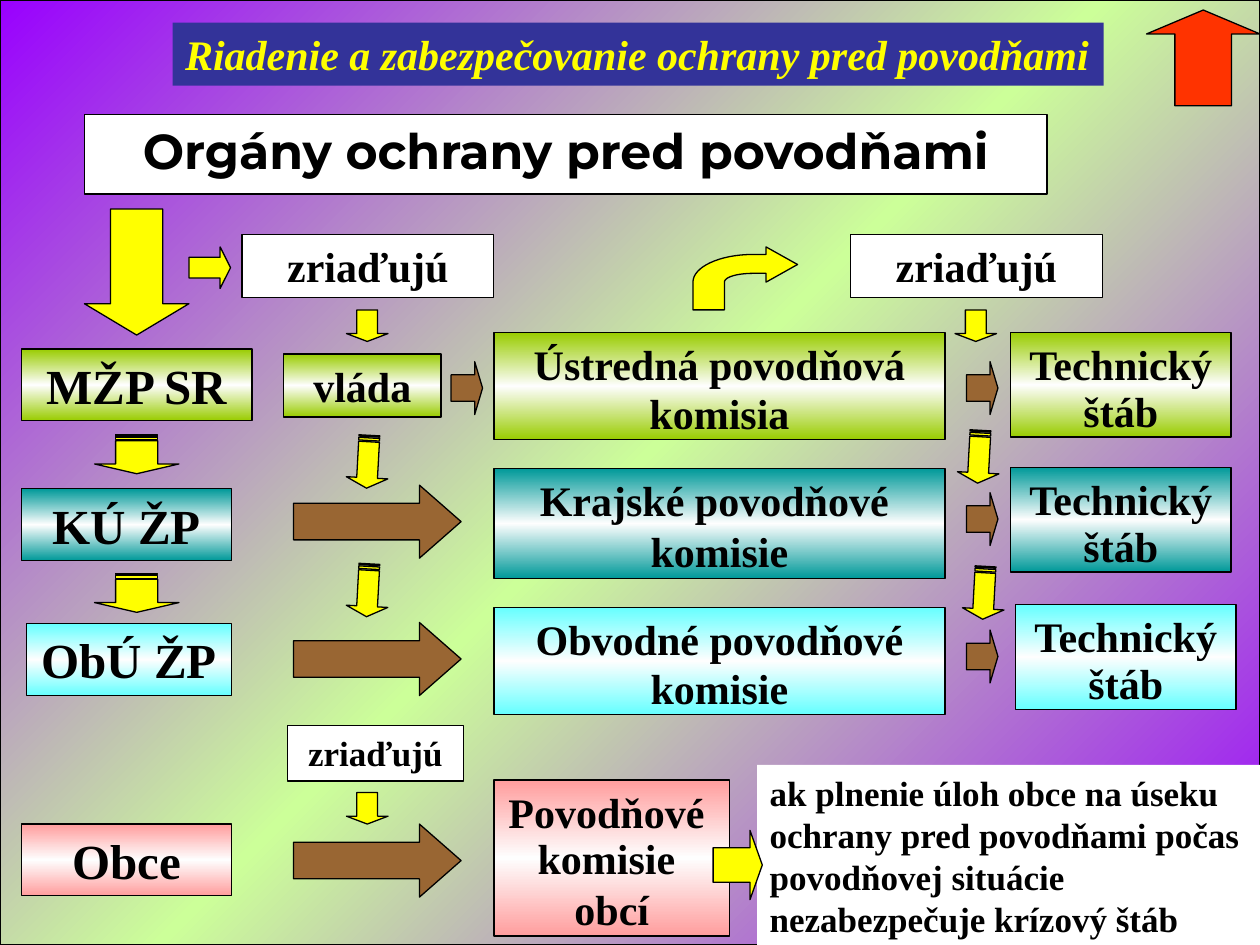
from copy import deepcopy

from pptx import Presentation
from pptx.dml.color import RGBColor
from pptx.enum.shapes import MSO_SHAPE as Shape
from pptx.enum.text import MSO_ANCHOR, MSO_AUTO_SIZE as AutoSize, PP_ALIGN
from pptx.oxml.ns import qn
from pptx.util import Inches, Pt

BLACK = RGBColor(0x00, 0x00, 0x00)
WHITE = RGBColor(0xFF, 0xFF, 0xFF)
SHEEN = RGBColor(0xFE, 0xFE, 0xFE)
YELLOW = RGBColor(0xFF, 0xFF, 0x00)
BROWN = RGBColor(0x99, 0x66, 0x33)
RED = RGBColor(0xFF, 0x33, 0x00)
NAVY = RGBColor(0x33, 0x33, 0x99)
PURPLE = RGBColor(0x99, 0x00, 0xFF)
PALE_GREEN = RGBColor(0xCC, 0xFF, 0x99)
GREEN = RGBColor(0x99, 0xCC, 0x00)
TEAL = RGBColor(0x00, 0x99, 0x99)
CYAN = RGBColor(0x66, 0xFF, 0xFF)
PINK = RGBColor(0xFF, 0x9D, 0x9D)
SERIF = "Times New Roman"


def style(sp, color, outlined=True):
    sp.shadow.inherit = False
    sp.fill.solid()
    sp.fill.fore_color.rgb = color
    if outlined:
        sp.line.color.rgb = BLACK
        sp.line.width = Pt(0.75)
    else:
        sp.line.fill.background()


def add_shape(s, kind, at, color, outlined=True):
    sp = s.shapes.add_shape(kind, *map(Inches, at))
    style(sp, color, outlined)
    return sp


def fill_gradient(sp, edge, middle, angle):
    """Run from edge colour to middle colour and back."""
    sp.fill.gradient()
    stops = sp._element.spPr.find(qn("a:gradFill")).find(qn("a:gsLst"))
    stops.insert(1, deepcopy(stops[0]))
    for stop, position, color in zip(sp.fill.gradient_stops, (0, 0.5, 1), (edge, middle, edge)):
        stop.position = position
        stop.color.rgb = color
    sp.fill.gradient_angle = angle


def add_text(sp, lines, size, font=SERIF, color=BLACK, align=PP_ALIGN.CENTER,
             italic=False, spacing=(), auto_size=AutoSize.SHAPE_TO_FIT_TEXT, wrap=True):
    """Write one paragraph per line; spacing holds the line spacing of the later ones."""
    tf = sp.text_frame
    tf.word_wrap = wrap
    tf.auto_size = auto_size
    tf.vertical_anchor = MSO_ANCHOR.TOP
    for i, line in enumerate(lines):
        p = tf.paragraphs[0] if i == 0 else tf.add_paragraph()
        p.text = line
        p.alignment = align
        if i and spacing:
            p.line_spacing = spacing[i - 1]
            p.space_before = Pt(15)
            p.space_after = Pt(3)
        p.font.name = font
        p.font.size = Pt(size)
        p.font.bold = True
        p.font.italic = italic
        p.font.color.rgb = color


def add_body(s, at, edge, lines, size=24, spacing=()):
    """Box with a glossy fill that names one body."""
    sp = add_shape(s, Shape.RECTANGLE, at, edge)
    fill_gradient(sp, edge, SHEEN, 90)
    add_text(sp, lines, size, spacing=spacing)


def add_label(s, at, text, size, **options):
    sp = add_shape(s, Shape.RECTANGLE, at, WHITE)
    add_text(sp, [text], size, **options)


def add_arrow(s, kind, at, color, head=0.25):
    sp = add_shape(s, kind, at, color)
    sp.adjustments[0] = 0.5
    sp.adjustments[1] = head
    return sp


def add_striped_arrow(s, at, angle):
    add_arrow(s, Shape.STRIPED_RIGHT_ARROW, at, YELLOW).rotation = angle


def bezier(*points, steps=16):
    """Points on a cubic curve, without its start."""
    curve = []
    for i in range(1, steps + 1):
        t = i / steps
        weights = ((1 - t) ** 3, 3 * t * (1 - t) ** 2, 3 * t * t * (1 - t), t ** 3)
        curve.append(tuple(sum(w * p[axis] for w, p in zip(weights, points)) for axis in (0, 1)))
    return curve


def add_bent_arrow(s):
    outer = bezier((5.5, 2.24), (5.5, 2.12), (5.71, 2.02), (5.98, 2.02))
    head = [(6.08, 2.02), (6.08, 1.96), (6.33, 2.1), (6.08, 2.24), (6.08, 2.17), (5.98, 2.17)]
    inner = bezier((5.98, 2.17), (5.85, 2.17), (5.75, 2.2), (5.75, 2.24))
    outline = [(5.5, 2.24)] + outer + head + inner + [(5.75, 2.46)]
    builder = s.shapes.build_freeform(Inches(5.5), Inches(2.46))
    builder.add_line_segments([(Inches(x), Inches(y)) for x, y in outline])
    style(builder.convert_to_shape(), YELLOW)


def add_headings(s):
    title = add_shape(s, Shape.RECTANGLE, (1.37, 0.18, 7.39, 0.5), NAVY, outlined=False)
    add_text(title, ["Riadenie a zabezpečovanie ochrany pred povodňami"], 24,
             color=YELLOW, align=PP_ALIGN.LEFT, italic=True,
             auto_size=AutoSize.NONE, wrap=False)
    add_label(s, (0.67, 0.91, 7.64, 0.63), "Orgány ochrany pred povodňami", 28,
              font="Montserrat", auto_size=AutoSize.NONE)
    for at, size in (((1.92, 1.86, 2, 0.5), 24), ((6.75, 1.86, 2, 0.5), 24),
                     ((2.28, 5.76, 1.4, 0.44), 20)):
        add_label(s, at, "zriaďujú", size)


def add_bodies(s):
    for at, color, name in (((0.17, 2.77, 1.83, 0.57), GREEN, "MŽP SR"),
                            ((0.17, 3.88, 1.67, 0.57), TEAL, "KÚ ŽP"),
                            ((0.21, 4.95, 1.63, 0.57), CYAN, "ObÚ ŽP"),
                            ((0.17, 6.54, 1.67, 0.57), PINK, "Obce")):
        add_body(s, at, color, [name], size=28)
    add_body(s, (2.25, 2.81, 1.25, 0.5), GREEN, ["vláda"])

    for top, height, color, lines, spacing in (
            (2.64, 0.85, GREEN, ["Ústredná povodňová", "komisia"], 0.35),
            (3.72, 0.87, TEAL, ["Krajské povodňové ", "komisie"], 0.4),
            (4.82, 0.85, CYAN, ["Obvodné povodňové", "komisie"], 0.35)):
        add_body(s, (3.92, top, 3.58, height), color, lines, spacing=[spacing])
    add_body(s, (3.92, 6.19, 1.87, 1.24), PINK, ["Povodňové ", "komisie ", "obcí"],
             spacing=[0.3, 0.4])

    for left, top, color in ((8.02, 2.64, GREEN), (8.02, 3.71, TEAL), (8.06, 4.8, CYAN)):
        add_body(s, (left, top, 1.75, 0.83), color, ["Technický", "štáb"], spacing=[0.3])


def add_arrows(s):
    add_arrow(s, Shape.DOWN_ARROW, (0.67, 1.66, 0.83, 1), YELLOW, head=0.3)
    add_arrow(s, Shape.RIGHT_ARROW, (1.5, 1.96, 0.33, 0.33), YELLOW)
    add_arrow(s, Shape.UP_ARROW, (9.1, 0.08, 0.9, 0.76), RED)
    add_bent_arrow(s)
    for left, top in ((2.75, 2.46), (7.58, 2.46), (2.75, 6.29)):
        add_arrow(s, Shape.DOWN_ARROW, (left, top, 0.33, 0.25), YELLOW)
    for top in (3.85, 4.94, 6.54):
        add_arrow(s, Shape.RIGHT_ARROW, (2.33, top, 1.33, 0.58), BROWN, head=0.57)
    for left, top in ((3.58, 2.87), (7.67, 2.87), (7.67, 3.91), (7.67, 5)):
        add_arrow(s, Shape.RIGHT_ARROW, (left, top, 0.25, 0.42), BROWN)
    for top in (3.27, 4.37):
        add_striped_arrow(s, (0.93, top, 0.31, 0.67), 90)
    for left, top in ((2.71, 3.5), (2.71, 4.52), (7.56, 3.46), (7.6, 4.54)):
        add_striped_arrow(s, (left, top, 0.42, 0.33), 93.1)


def add_crisis_note(s):
    note = add_shape(s, Shape.RECTANGLE, (6.01, 6.07, 4.03, 1.44), WHITE, outlined=False)
    add_text(note, ["ak plnenie úloh obce na úseku",
                    "ochrany pred povodňami počas povodňovej situácie",
                    "nezabezpečuje krízový štáb"], 20, align=PP_ALIGN.LEFT)
    add_arrow(s, Shape.RIGHT_ARROW, (5.66, 6.59, 0.39, 0.55), YELLOW)


def main():
    prs = Presentation()
    prs.slide_width, prs.slide_height = Inches(10), Inches(7.5)
    s = prs.slides.add_slide(prs.slide_layouts[6])
    backdrop = add_shape(s, Shape.RECTANGLE, (0, 0, 10, 7.5), PURPLE)
    fill_gradient(backdrop, PURPLE, PALE_GREEN, 135)
    add_headings(s)
    add_bodies(s)
    add_arrows(s)
    add_crisis_note(s)
    prs.save("out.pptx")


if __name__ == "__main__":
    main()
